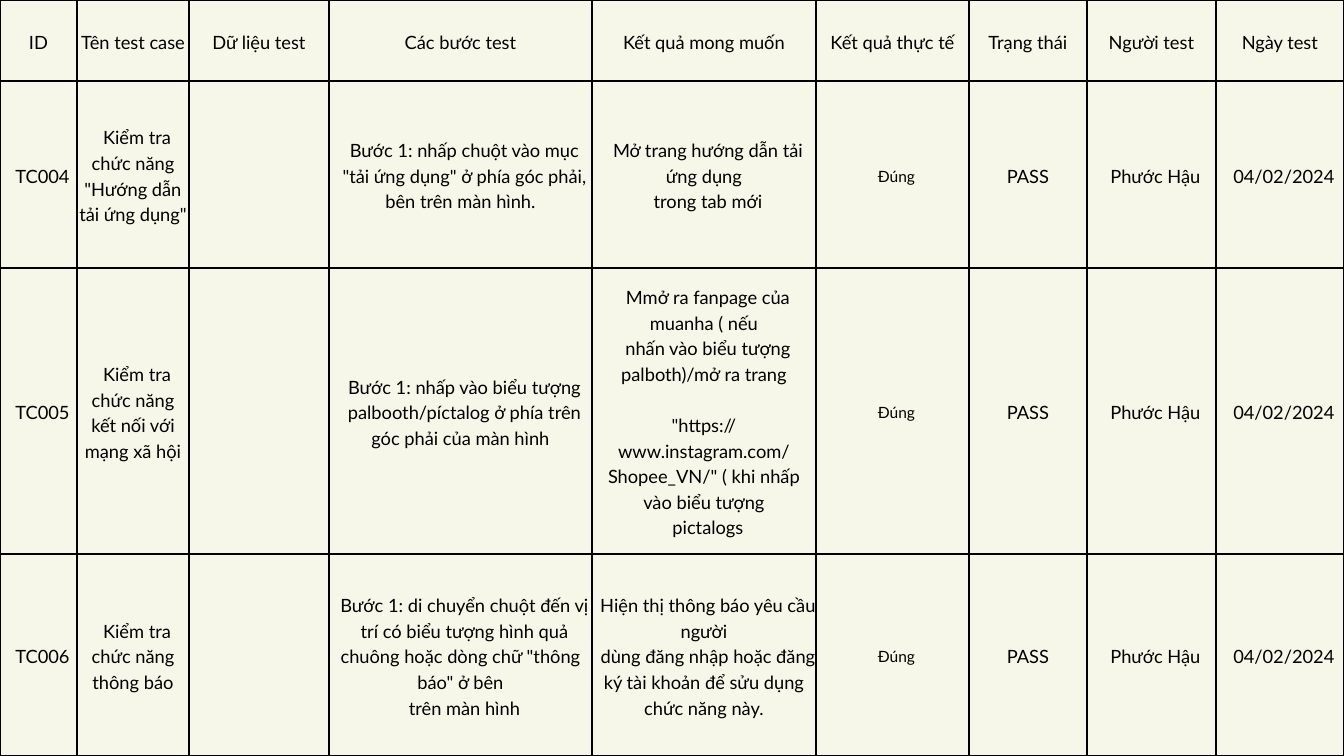
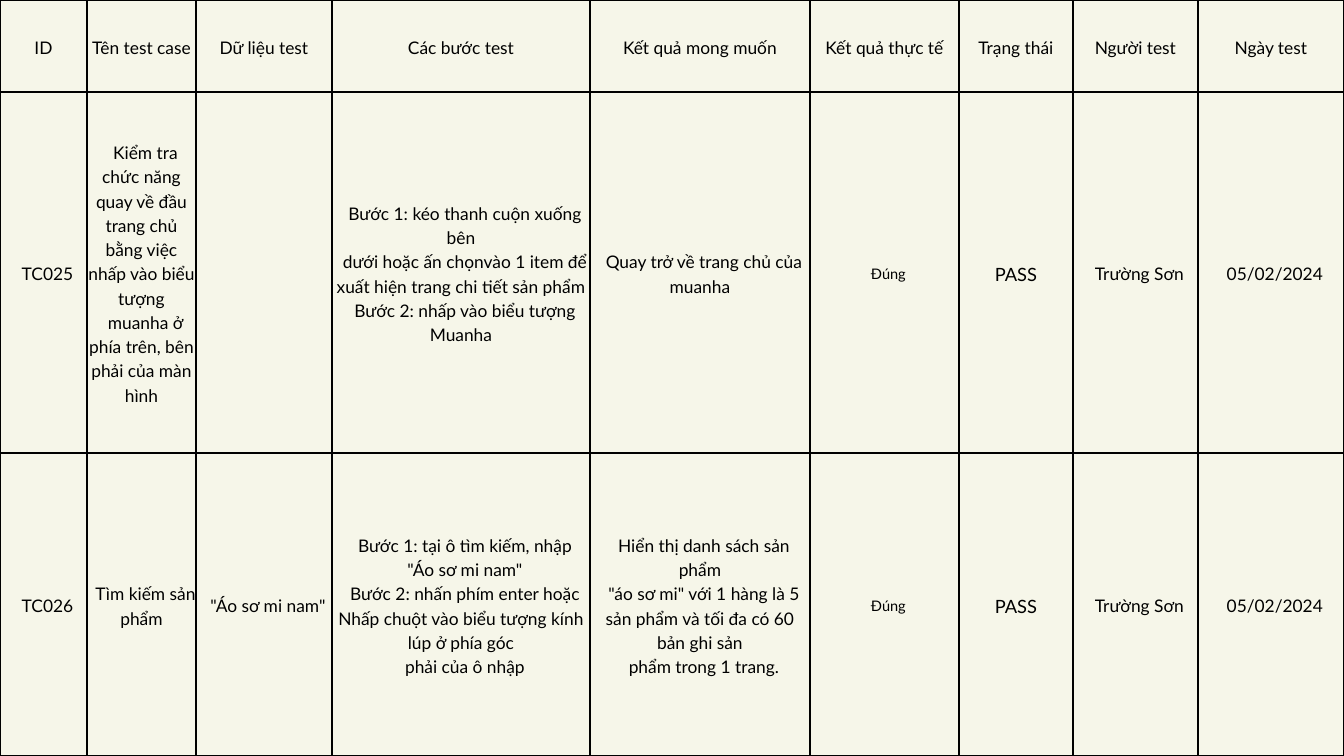
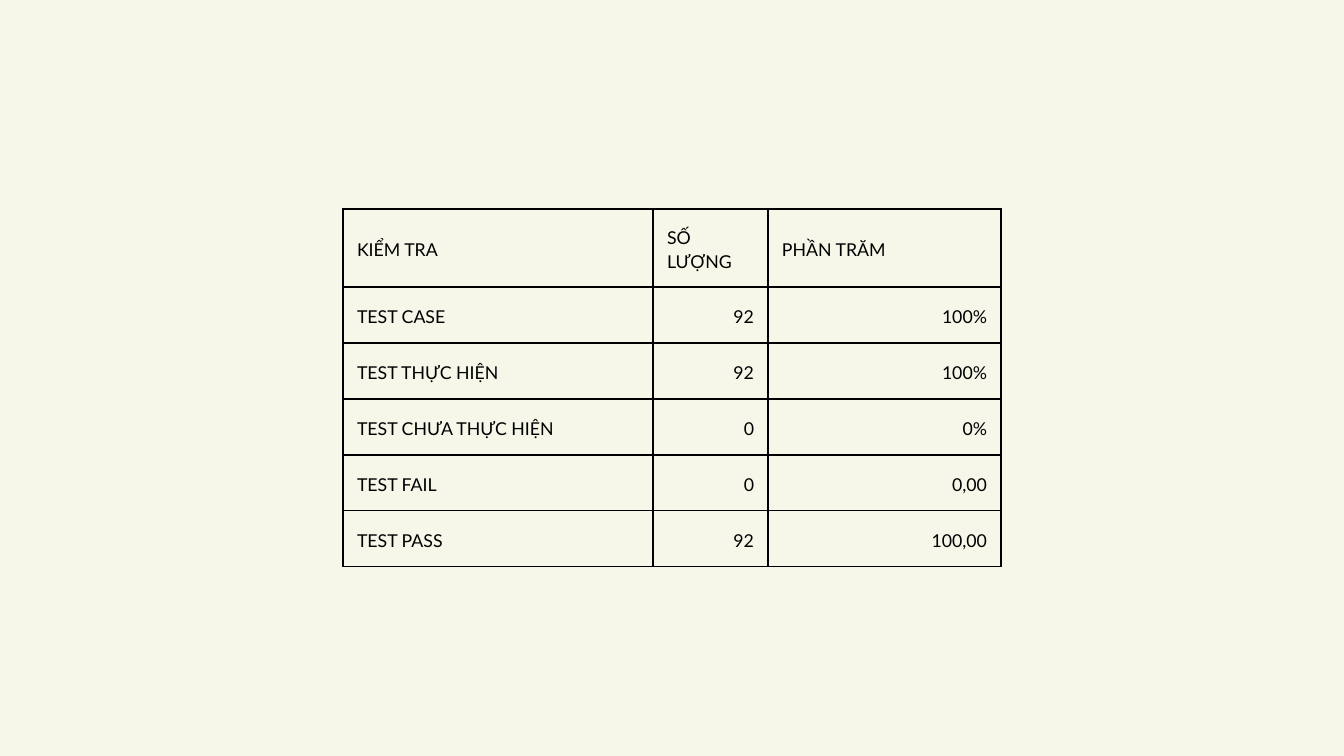
import dataclasses

import lxml.etree
import pptx
import pptx.dml.color
import pptx.enum.text
import pptx.oxml.ns
import pptx.util

ALIGN = pptx.enum.text.PP_ALIGN
SCALE = 914400 / 67.2


@dataclasses.dataclass(frozen=True)
class Theme:
    """Colours, type sizes and measures shared by all slides."""

    background: str = "F6F6E9"
    ink: str = "000000"
    font: str = "Lato"
    leading: float = 1.4
    status_size: float = 19.6
    summary_size: float = 19
    actual_step: float = 3
    case_border: float = 3
    summary_border: float = 2.25
    indent: int = 8
    summary_inset: int = 14


THEME = Theme()

HEADERS = ["ID", "Tên test case", "Dữ liệu test", "Các bước test", "Kết quả mong muốn",
           "Kết quả thực tế", "Trạng thái", "Người test", "Ngày test"]

NAVIGATION_CASES = [
    ("TC004", 'Kiểm tra chức năng "Hướng dẫn tải ứng dụng"', "",
     'Bước 1: nhấp chuột vào mục\n"tải ứng dụng" ở phía góc phải, bên trên màn hình.',
     "Mở trang hướng dẫn tải ứng dụng\ntrong tab mới"),
    ("TC005", "Kiểm tra chức năng kết nối với mạng xã hội", "",
     "Bước 1: nhấp vào biểu tượng\n"
     "palbooth/píctalog ở phía trên góc phải của màn hình",
     "Mmở ra fanpage của muanha ( nếu\nnhấn vào biểu tượng palboth)/mở ra trang\n\n"
     '"https://www.instagram.com/Shopee_VN/" ( khi nhấp vào biểu tượng\npictalogs'),
    ("TC006", "Kiểm tra chức năng thông báo", "",
     "Bước 1: di chuyển chuột đến vị\n"
     'trí có biểu tượng hình quả chuông hoặc dòng chữ "thông báo" ở bên\ntrên màn hình',
     "Hiện thị thông báo yêu cầu người\n"
     "dùng đăng nhập hoặc đăng ký tài khoản để sửu dụng chức năng này."),
]

SEARCH_CASES = [
    ("TC025",
     "Kiểm tra chức năng quay về đầu trang chủ bằng việc nhấp vào biểu tượng\n"
     "muanha ở phía trên, bên phải của màn hình", "",
     "Bước 1: kéo thanh cuộn xuống bên\n"
     "dưới hoặc ấn chọnvào 1 item để xuất hiện trang chi tiết sản phẩm\n"
     "Bước 2: nhấp vào biểu tượng Muanha",
     "Quay trở về trang chủ của muanha"),
    ("TC026", "Tìm kiếm sản phẩm", '"Áo sơ mi nam"',
     'Bước 1: tại ô tìm kiếm, nhập\n"Áo sơ mi nam"\n'
     "Bước 2: nhấn phím enter hoặc Nhấp chuột vào biểu tượng kính lúp ở phía góc\n"
     "phải của ô nhập",
     'Hiển thị danh sách sản phẩm\n"áo sơ mi" với 1 hàng là 5 sản phẩm và tối đa có 60 '
     "bản ghi sản\nphẩm trong 1 trang."),
]

SUMMARY = [
    ("KIỂM TRA", "SỐ LƯỢNG", "PHẦN TRĂM"),
    ("TEST CASE", "92", "100%"),
    ("TEST THỰC HIỆN", "92", "100%"),
    ("TEST CHƯA THỰC HIỆN", "0", "0%"),
    ("TEST FAIL", "0", "0,00"),
    ("TEST PASS", "92", "100,00"),
]


def px(n):
    """Turn whole pixels into EMU."""
    return pptx.util.Emu(round(n * SCALE))


def style_cell(cell, border, inset):
    """Give a cell its rules, clear fill, insets and middle anchor."""
    tc_pr = cell._tc.get_or_add_tcPr()
    for side in ("a:lnL", "a:lnR", "a:lnT", "a:lnB"):
        ln = lxml.etree.SubElement(tc_pr, pptx.oxml.ns.qn(side), w=str(pptx.util.Pt(border)))
        fill = lxml.etree.SubElement(ln, pptx.oxml.ns.qn("a:solidFill"))
        lxml.etree.SubElement(fill, pptx.oxml.ns.qn("a:srgbClr"), val=THEME.ink)
    cell.fill.background()
    cell.margin_left = cell.margin_right = cell.margin_top = cell.margin_bottom = px(inset)
    cell.vertical_anchor = pptx.enum.text.MSO_ANCHOR.MIDDLE


def write_cell(cell, text, size, align, indent=0):
    """Write one paragraph a line; a blank line stands for space before the next one."""
    tf = cell.text_frame
    leading = pptx.util.Pt(round(size * THEME.leading, 1))
    p = None
    for b, block in enumerate(text.split("\n\n")):
        for i, line in enumerate(block.split("\n")):
            p = tf.add_paragraph() if p is not None else tf.paragraphs[0]
            p.text = line
            p.alignment = align
            p.line_spacing = leading
            if b and not i:
                p.space_before = leading
            elif indent:
                p._p.get_or_add_pPr().set("indent", str(px(indent)))
            p.font.name = THEME.font
            p.font.size = pptx.util.Pt(size)
            p.font.color.rgb = pptx.dml.color.RGBColor.from_string(THEME.ink)


def add_grid(slide, left, top, widths, heights, border, inset=0):
    """Add an empty ruled table with the given column widths and row heights."""
    frame = slide.shapes.add_table(len(heights), len(widths), px(left), px(top),
                                   px(sum(widths)), px(sum(heights)))
    table = frame.table
    table.first_row = table.horz_banding = False
    for column, width in zip(table.columns, widths):
        column.width = px(width)
    for row, height in zip(table.rows, heights):
        row.height = px(height)
    for cell in table.iter_cells():
        style_cell(cell, border, inset)
    return table


def add_case_slide(prs, widths, heights, size, cases, tester, date):
    """Add a full-slide table of test cases."""
    slide = prs.slides.add_slide(prs.slide_layouts[6])
    table = add_grid(slide, 0, 0, widths, heights, THEME.case_border)
    for c, header in enumerate(HEADERS):
        write_cell(table.cell(0, c), header, size, ALIGN.CENTER)
    sizes = {"Kết quả thực tế": size - THEME.actual_step, "Trạng thái": THEME.status_size}
    for r, case in enumerate(cases, 1):
        for c, (header, text) in enumerate(zip(HEADERS, (*case, "Đúng", "PASS", tester, date))):
            if text:
                indent = 0 if header == "Trạng thái" else THEME.indent
                write_cell(table.cell(r, c), text, sizes.get(header, size), ALIGN.CENTER, indent)


def add_summary_slide(prs, left, top, widths, row_height):
    """Add the table of test totals."""
    slide = prs.slides.add_slide(prs.slide_layouts[6])
    table = add_grid(slide, left, top, widths, [row_height] * len(SUMMARY),
                     THEME.summary_border, THEME.summary_inset)
    for r, row in enumerate(SUMMARY):
        for c, text in enumerate(row):
            align = ALIGN.RIGHT if r and c else ALIGN.LEFT
            write_cell(table.cell(r, c), text, THEME.summary_size, align)


def main():
    """Build and save the presentation."""
    prs = pptx.Presentation()
    prs.slide_width, prs.slide_height = px(1344), px(756)
    fill = prs.slide_master.background.fill
    fill.solid()
    fill.fore_color.rgb = pptx.dml.color.RGBColor.from_string(THEME.background)
    add_case_slide(prs, [77, 112, 140, 263, 224, 153, 118, 129, 128], [81, 187, 286, 202],
                   19.6, NAVIGATION_CASES, "Phước Hậu", "04/02/2024")
    add_case_slide(prs, [87, 109, 136, 258, 220, 149, 114, 125, 146], [92, 361, 303],
                   18.6, SEARCH_CASES, "Trường Sơn", "05/02/2024")
    add_summary_slide(prs, 343, 209, [310, 115, 233], 56)
    prs.save("out.pptx")


if __name__ == "__main__":
    main()
